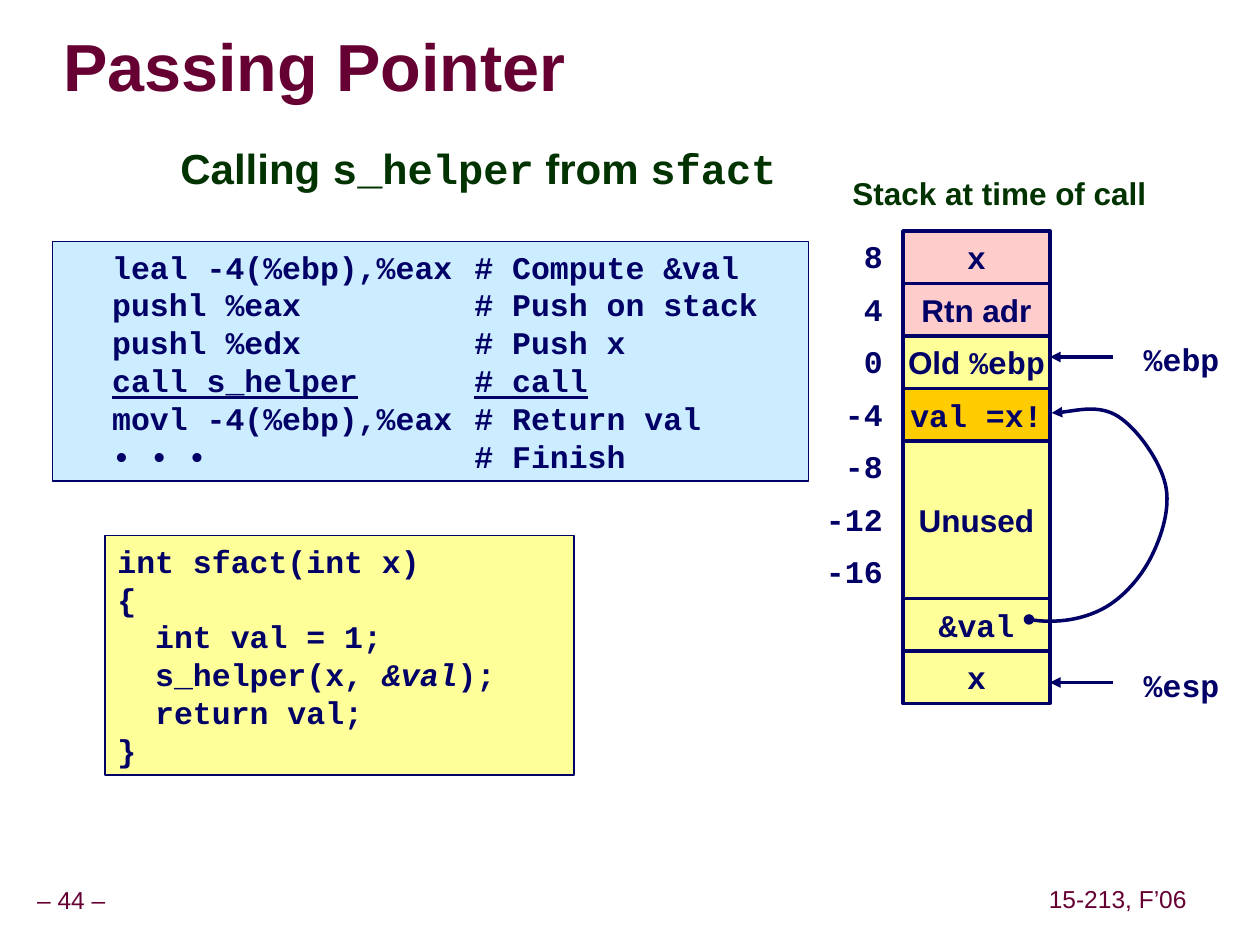
import pptx
import pptx.util
import pptx.dml.color
import pptx.enum.shapes
import pptx.enum.text
import pptx.oxml
import pptx.oxml.ns
from dataclasses import dataclass

Pt = pptx.util.Pt
RGB = pptx.dml.color.RGBColor.from_string
ALIGN = pptx.enum.text.PP_ALIGN
ANCHOR = pptx.enum.text.MSO_ANCHOR


@dataclass(frozen=True)
class Theme:
    sans: str = "Arial"
    mono: str = "Courier New"
    maroon: str = "660033"
    green: str = "003300"
    navy: str = "000066"
    shadow: str = "969696"
    pink: str = "FFCCCC"
    yellow: str = "FFFF99"
    orange: str = "FFCC00"
    blue: str = "CCECFF"
    title: int = 38
    heading: int = 24
    body: int = 18
    footer: int = 14


def element(parent, tag, **attrs):
    e = parent.makeelement(pptx.oxml.ns.qn(tag), attrs)
    parent.append(e)
    return e


class Deck:
    """Theme and current slide, with a method for each kind of element."""

    def __init__(self, theme):
        self.t = theme
        self.prs = pptx.Presentation()
        self.prs.slide_width, self.prs.slide_height = Pt(720), Pt(540)

    def new_slide(self):
        self.s = self.prs.slides.add_slide(self.prs.slide_layouts[5])

    def font(self, font, size, color, bold=True, name=None):
        font.size, font.bold = Pt(size), bold
        font.color.rgb = RGB(color)
        if name:
            font.name = name

    def fill_text(self, sp, lines, name, color, size, align=ALIGN.LEFT, anchor=ANCHOR.TOP,
                  wrap=False, bold=True, spacing=1.0, inset=(7.2, 3.6), tabs=()):
        tf = sp.text_frame
        tf.word_wrap, tf.vertical_anchor = wrap, anchor
        tf.auto_size = pptx.enum.text.MSO_AUTO_SIZE.NONE
        tf.margin_left = tf.margin_right = Pt(inset[0])
        tf.margin_top = tf.margin_bottom = Pt(inset[1])
        for i, line in enumerate(lines):
            p = tf.add_paragraph() if i else tf.paragraphs[0]
            p.alignment, p.line_spacing = align, spacing
            if tabs:
                tab_list = element(p._p.get_or_add_pPr(), "a:tabLst")
                for pos in tabs:
                    element(tab_list, "a:tab", pos=str(Pt(pos)), algn="l")
            runs = [(line, {})] if isinstance(line, str) else line
            mixed = any("name" in style for _, style in runs)
            self.font(p.font, size, color, bold, None if mixed else name)
            for text, style in runs:
                r = p.add_run()
                r.text = text
                for key, value in style.items():
                    setattr(r.font, key, value)

    def title(self, text, x, y, w, h):
        sp = self.s.shapes.title
        sp.left, sp.top, sp.width, sp.height = Pt(x), Pt(y), Pt(w), Pt(h)
        self.fill_text(sp, [text], self.t.sans, self.t.maroon, self.t.title,
                       anchor=ANCHOR.MIDDLE, wrap=True, spacing=0.87, inset=(0, 0))
        rPr = sp.text_frame.paragraphs[0].runs[0]._r.get_or_add_rPr()
        effects = element(rPr, "a:effectLst")
        shadow = element(effects, "a:outerShdw", dist=str(Pt(3)), dir="2700000")
        element(shadow, "a:srgbClr", val=self.t.shadow)

    def text(self, line, x, y, w, h, name, color, size, **options):
        sp = self.s.shapes.add_textbox(Pt(x), Pt(y), Pt(w), Pt(h))
        self.fill_text(sp, [line], name, color, size, **options)

    def footer(self, text, x, y, w, h):
        self.text(text, x, y, w, h, self.t.sans, self.t.maroon, self.t.footer,
                  align=ALIGN.CENTER, anchor=ANCHOR.MIDDLE, bold=False,
                  spacing=0.9, inset=(3.6, 3.6))

    def box(self, lines, x, y, w, h, fill, weight, name, **options):
        sp = self.s.shapes.add_shape(pptx.enum.shapes.MSO_SHAPE.RECTANGLE,
                                     Pt(x), Pt(y), Pt(w), Pt(h))
        sp.shadow.inherit = False
        sp.fill.solid()
        sp.fill.fore_color.rgb = RGB(fill)
        self.stroke(sp, weight)
        self.fill_text(sp, lines, name, self.t.navy, self.t.body, **options)

    def cell(self, line, x, y, w, h, fill, name):
        self.box([line], x, y, w, h, fill, 2, name,
                 align=ALIGN.CENTER, anchor=ANCHOR.MIDDLE)

    def stroke(self, sp, weight, head=None, tail=None):
        sp.line.color.rgb = RGB(self.t.navy)
        sp.line.width = Pt(weight)
        for tag, kind in (("a:headEnd", head), ("a:tailEnd", tail)):
            if kind:
                element(sp.line._get_or_add_ln(), tag, type=kind)

    def arrow(self, x1, y1, x2, y2):
        c = self.s.shapes.add_connector(pptx.enum.shapes.MSO_CONNECTOR.STRAIGHT,
                                        Pt(x1), Pt(y1), Pt(x2), Pt(y2))
        self.stroke(c, 2, tail="triangle")
        element(c._element.spPr, "a:effectLst")

    def curve(self, start, controls):
        fb = self.s.shapes.build_freeform(Pt(start[0]), Pt(start[1]))
        fb.add_line_segments([(Pt(x), Pt(y)) for x, y in controls], close=False)
        sp = fb.convert_to_shape()
        outline = sp._element.spPr.find(".//" + pptx.oxml.ns.qn("a:path"))
        segments = outline.findall(pptx.oxml.ns.qn("a:lnTo"))
        for i in range(0, len(segments), 3):
            bezier = element(outline, "a:cubicBezTo")
            for segment in segments[i:i + 3]:
                bezier.append(segment[0])
                outline.remove(segment)
        sp.shadow.inherit = False
        sp.fill.background()
        self.stroke(sp, 2, head="oval", tail="triangle")


def main():
    t = Theme()
    d = Deck(t)
    d.new_slide()
    d.title("Passing Pointer", 36, 18, 465, 45)
    d.footer("– 44 –", -6.5, 504, 94.5, 22.5)
    d.footer("15-213, F’06", 595.5, 503.5, 86.5, 22.5)

    mono, sans = {"name": t.mono}, {"name": t.sans}
    d.text([("Calling ", sans), ("s_helper", mono), (" from ", sans), ("sfact", mono)],
           96, 78, 355, 36, t.sans, t.green, t.heading)
    d.text("Stack at time of call", 480, 96, 182, 29, t.sans, t.green, t.body)

    assembly = ["\tleal -4(%ebp),%eax\t# Compute &val",
                "\tpushl %eax\t# Push on stack",
                "\tpushl %edx\t# Push x",
                [("\tcall s_helper\t# call", {"underline": True})],
                "\tmovl -4(%ebp),%eax\t# Return val",
                "\t• • •\t# Finish"]
    d.box(assembly, 30, 138, 432, 137, t.blue, 1, t.mono, wrap=True, tabs=(27, 234))
    source = ["int sfact(int x)", "{", "  int val = 1;",
              [("  s_helper(x, ", {}), ("&val", {"italic": True}), (");", {})],
              "  return val;", "}"]
    d.box(source, 60, 306, 268, 137, t.yellow, 1, t.mono, wrap=True)

    left, top, width, row = 516, 132, 84, 30
    cells = [("x", 1, t.pink, t.mono),
             ("Rtn adr", 1, t.pink, t.sans),
             ([("Old ", sans), ("%ebp", mono)], 1, t.yellow, t.sans),
             ("val =x!", 1, t.orange, t.mono),
             ("Unused", 3, t.yellow, t.sans),
             ("&val", 1, t.yellow, t.mono),
             ("x", 1, t.yellow, t.mono)]
    y = top
    for line, rows, fill, name in cells:
        d.cell(line, left, y, width, rows * row, fill, name)
        y += rows * row
    for i, offset in enumerate(range(8, -17, -4)):
        d.text(str(offset), 464.5, top + i * row, 47, 29, t.mono, t.navy, t.body,
               align=ALIGN.RIGHT)
    for register, y in (("%ebp", 204), ("%esp", 390)):
        d.arrow(left + width + 36, y, left + width, y)
        d.text(register, 646.5, y - 13, 57.5, 29, t.mono, t.navy, t.body)
    d.curve((588, 354), [(602.5, 356.5), (618.5, 354), (630, 348),
                         (641.5, 342), (652, 330), (658, 318),
                         (664, 306), (669, 290), (666, 277),
                         (663, 263.5), (650, 245), (639, 238),
                         (628, 231), (609, 236), (601, 236)])
    d.prs.save("out.pptx")


if __name__ == "__main__":
    main()
